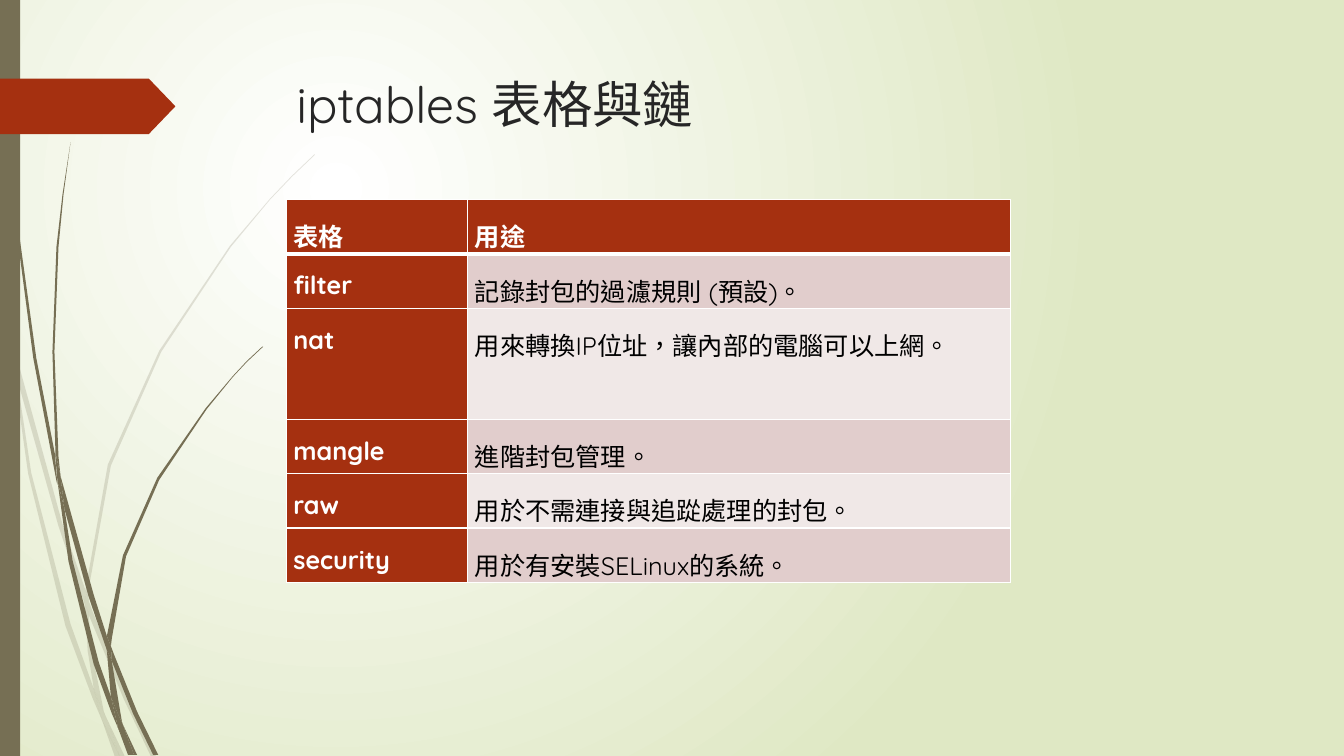
from dataclasses import dataclass

from lxml import etree
from pptx import Presentation
from pptx.dml.color import RGBColor
from pptx.enum.shapes import MSO_SHAPE
from pptx.enum.text import MSO_ANCHOR
from pptx.oxml.ns import qn
from pptx.util import Inches, Pt

RECT = MSO_SHAPE.RECTANGLE
ARROW = MSO_SHAPE.PENTAGON
TOP = MSO_ANCHOR.TOP


@dataclass(frozen=True)
class Theme:
    font: str = "Quicksand"
    head: int = 36
    body: int = 18
    ink: str = "262626"
    black: str = "000000"
    white: str = "FFFFFF"
    red: str = "A53010"
    olive: str = "766F54"
    lime: str = "DFE8C4"
    bands: tuple = ("E1CDCC", "F0E8E7")


THEME = Theme()
WIDE, HIGH = 13.33, 7.5

# Grass: the corners (x, y) of each part of a blade
PALE = (
    ((0.11, 3.5), (0.09, 3.22), (0, 2.82), (0, 2.99), (0.1, 3.44)),
    ((0.58, 5.22), (0.84, 5.99), (0.85, 5.86), (0.62, 5.2), (0.14, 3.45), (0.17, 3.76)),
    ((0.92, 6.07), (0.88, 5.96), (0.88, 6.1), (1.23, 6.94), (1.5, 7.51), (1.55, 7.51),
     (1.27, 6.92)),
    ((1.19, 7.51), (1.24, 7.51), (1.05, 7.11)),
    ((0.93, 6.83), (0.7, 6.19), (0.31, 4.69), (0.17, 3.76), (0.11, 3.5), (0.28, 4.7),
     (0.65, 6.21), (0.92, 6.93), (1.01, 7.14), (0.99, 7.07)),
    ((0.84, 5.99), (0.87, 6.46), (0.93, 6.83), (0.96, 6.92), (1.05, 7.11), (1.03, 7.06),
     (0.91, 6.46), (0.88, 6.1), (0.88, 6.08)),
    ((0.88, 5.84), (1.1, 4.62), (1.6, 3.49), (2.29, 2.45), (2.68, 1.98), (2.9, 1.75),
     (3.12, 1.54), (3.12, 1.53), (2.89, 1.75), (2.68, 1.97), (2.28, 2.44), (1.58, 3.48),
     (1.07, 4.61), (0.85, 5.84), (0.85, 5.86), (0.88, 5.96)),
    ((1.01, 7.14), (1.14, 7.51), (1.19, 7.51)),
    ((0.88, 6.08), (0.88, 6.1), (0.88, 5.96), (0.85, 5.86), (0.84, 5.99)),
    ((0.96, 6.92), (0.93, 6.83), (0.99, 7.07), (1.01, 7.14), (1.19, 7.51), (1.05, 7.11)),
)
DARK = (
    ((0.07, 1.1), (0.17, 2.33), (0.33, 3.55), (0.56, 4.77), (0.57, 4.81), (0.55, 4.57),
     (0.55, 4.53), (0.36, 3.55), (0.19, 2.32), (0.08, 1.09), (0.05, 0.48), (0.04, 0),
     (0.03, 0), (0.04, 0.48)),
    ((0.88, 5.92), (1.06, 6.45), (1.06, 6.33), (1.06, 6.31), (0.93, 5.9), (0.6, 4.72),
     (0.64, 5.05)),
    ((1.13, 6.49), (1.1, 6.41), (1.11, 6.56), (1.32, 7.08), (1.52, 7.49), (1.57, 7.49),
     (1.36, 7.06)),
    ((1.1, 6.91), (0.98, 6.57), (0.72, 5.56), (0.64, 5.05), (0.57, 4.77), (0.68, 5.57),
     (0.93, 6.59), (1.11, 7.08), (1.17, 7.22), (1.16, 7.17)),
    ((0.6, 4.72), (0.58, 4.53), (0.54, 3.49), (0.58, 2.45), (0.63, 1.93), (0.7, 1.41),
     (0.62, 1.93), (0.56, 2.45), (0.52, 3.49), (0.55, 4.49)),
    ((1.33, 7.49), (1.36, 7.49), (1.22, 7.19)),
    ((0.57, 4.77), (0.64, 5.05), (0.6, 4.72), (0.55, 4.49), (0.55, 4.53)),
    ((1.11, 6.33), (1.25, 5.52), (1.58, 4.76), (2.05, 4.06), (2.31, 3.74), (2.45, 3.59),
     (2.61, 3.44), (2.6, 3.44), (2.45, 3.58), (2.31, 3.73), (2.04, 4.05), (1.56, 4.74),
     (1.22, 5.51), (1.06, 6.31), (1.1, 6.41)),
    ((1.17, 7.22), (1.27, 7.49), (1.31, 7.49)),
    ((1.06, 6.45), (1.1, 6.91), (1.16, 7.06), (1.22, 7.19), (1.21, 7.16), (1.11, 6.56),
     (1.09, 6.51)),
    ((1.06, 6.45), (1.09, 6.51), (1.11, 6.56), (1.1, 6.41), (1.06, 6.31), (1.06, 6.33)),
    ((1.16, 7.06), (1.1, 6.91), (1.16, 7.17), (1.17, 7.22), (1.3, 7.49), (1.33, 7.49),
     (1.22, 7.19)),
)

ROWS = (
    ("表格", "用途"),
    ("filter", "記錄封包的過濾規則 (預設)。"),
    ("nat", "用來轉換IP位址，讓內部的電腦可以上網。"),
    ("mangle", "進階封包管理。"),
    ("raw", "用於不需連接與追踨處理的封包。"),
    ("security", "用於有安裝SELinux的系統。"),
)
COLS = (1.8, 5.38)
TALL = {2: 1.1}
LOW = 0.54


def rgb(code):
    return RGBColor.from_string(code)


def style(para, size, color, bold=False):
    for run in para.runs:
        font = run.font
        font.name, font.size, font.bold = THEME.font, Pt(size), bold
        font.color.rgb = rgb(color)
        props = run._r.get_or_add_rPr()
        props.set("lang", "zh-TW")
        etree.SubElement(props, qn("a:ea"), typeface=THEME.font)


def paint(shape, color):
    shape.shadow.inherit = False
    shape.fill.solid()
    shape.fill.fore_color.rgb = rgb(color)
    shape.line.fill.background()


def backdrop(slide):
    """Radial glow from white to lime."""
    fill = slide.background.fill
    fill.gradient()
    for stop, color, place in zip(fill.gradient_stops, (THEME.white, THEME.lime), (0, 1)):
        stop.color.rgb = rgb(color)
        stop.position = place
    grad = next(slide._element.iter(qn("a:gradFill")))
    grad.remove(grad.find(qn("a:lin")))
    glow = etree.SubElement(grad, qn("a:path"), path="circle")
    etree.SubElement(glow, qn("a:fillToRect"), l="50000", t="50000", r="100000", b="100000")


def blade(slide, corners, alpha=None):
    dots = [(Inches(x), Inches(y)) for x, y in corners]
    pen = slide.shapes.build_freeform(*dots[0])
    pen.add_line_segments(dots[1:], close=True)
    shape = pen.convert_to_shape()
    paint(shape, THEME.olive)
    if alpha:
        tone = next(shape._element.spPr.iter(qn("a:srgbClr")))
        etree.SubElement(tone, qn("a:alpha"), val=str(alpha * 1000))


def margin(slide):
    """Grass, side bar and arrow tag at the left edge."""
    for corners in PALE:
        blade(slide, corners, alpha=20)
    for corners in DARK:
        blade(slide, corners)
    bar = slide.shapes.add_shape(RECT, 0, 0, Inches(0.2), Inches(HIGH))
    paint(bar, THEME.olive)
    tag = slide.shapes.add_shape(ARROW, 0, Inches(0.78), Inches(1.74), Inches(0.55))
    tag.adjustments[0] = 0.48
    paint(tag, THEME.red)


def title(slide, text, x, y, w, h):
    box = slide.shapes.add_textbox(Inches(x), Inches(y), Inches(w), Inches(h))
    frame = box.text_frame
    frame.word_wrap = True
    frame.vertical_anchor = TOP
    frame.text = text
    style(frame.paragraphs[0], THEME.head, THEME.ink)


def edges(cell, thick):
    """White borders; thick maps a side to its width in points."""
    props = cell._tc.get_or_add_tcPr()
    for i, side in enumerate("LRTB"):
        line = etree.Element(qn(f"a:ln{side}"), w=str(Pt(thick.get(side, 1))))
        solid = etree.SubElement(line, qn("a:solidFill"))
        etree.SubElement(solid, qn("a:srgbClr"), val=THEME.white)
        props.insert(i, line)


def grid(slide, x, y):
    """Table of names and uses."""
    highs = [TALL.get(i, LOW) for i in range(len(ROWS))]
    table = slide.shapes.add_table(
        len(ROWS), len(COLS), Inches(x), Inches(y),
        Inches(sum(COLS)), Inches(sum(highs))).table
    table.first_col = True
    for col, wide in zip(table.columns, COLS):
        col.width = Inches(wide)
    for r, texts in enumerate(ROWS):
        table.rows[r].height = Inches(highs[r])
        for c, text in enumerate(texts):
            cell = table.cell(r, c)
            head = r == 0 or c == 0
            cell.margin_left = cell.margin_right = Inches(0.07)
            cell.margin_top = Inches(0 if text.isascii() else 0.06)
            cell.margin_bottom = 0
            cell.fill.solid()
            cell.fill.fore_color.rgb = rgb(THEME.red if head else THEME.bands[(r - 1) % 2])
            edges(cell, {0: {"B": 3}, 1: {"T": 3}}.get(r, {}))
            cell.text_frame.text = text
            para = cell.text_frame.paragraphs[0]
            para.line_spacing = 1.5
            style(para, THEME.body, THEME.white if head else THEME.black, head)


def main():
    deck = Presentation()
    deck.slide_width, deck.slide_height = Inches(WIDE), Inches(HIGH)
    slide = deck.slides.add_slide(deck.slide_layouts[6])
    backdrop(slide)
    margin(slide)
    title(slide, "iptables 表格與鏈", 2.84, 0.68, 9.75, 1.4)
    grid(slide, 2.84, 1.98)
    deck.save("out.pptx")


if __name__ == "__main__":
    main()
